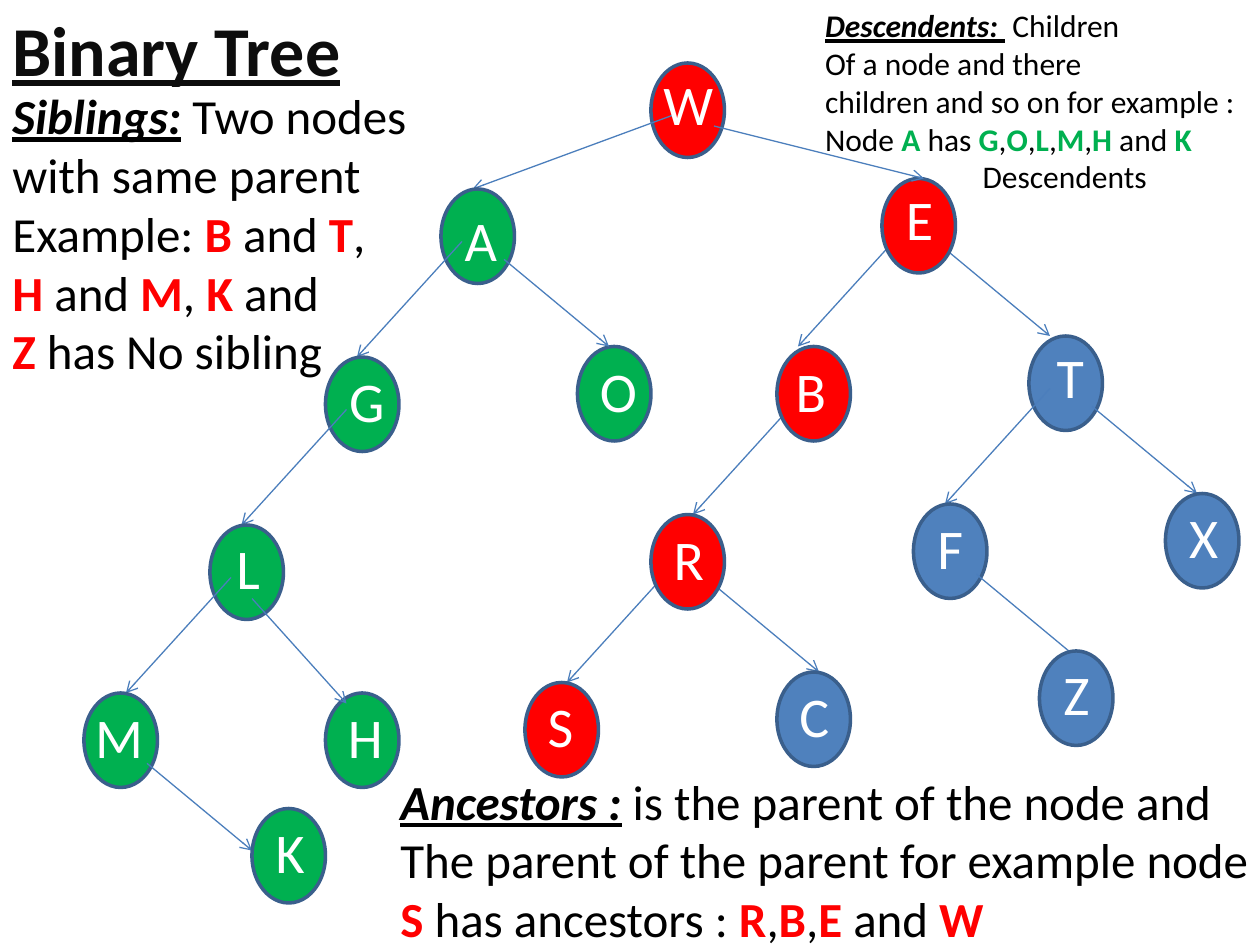
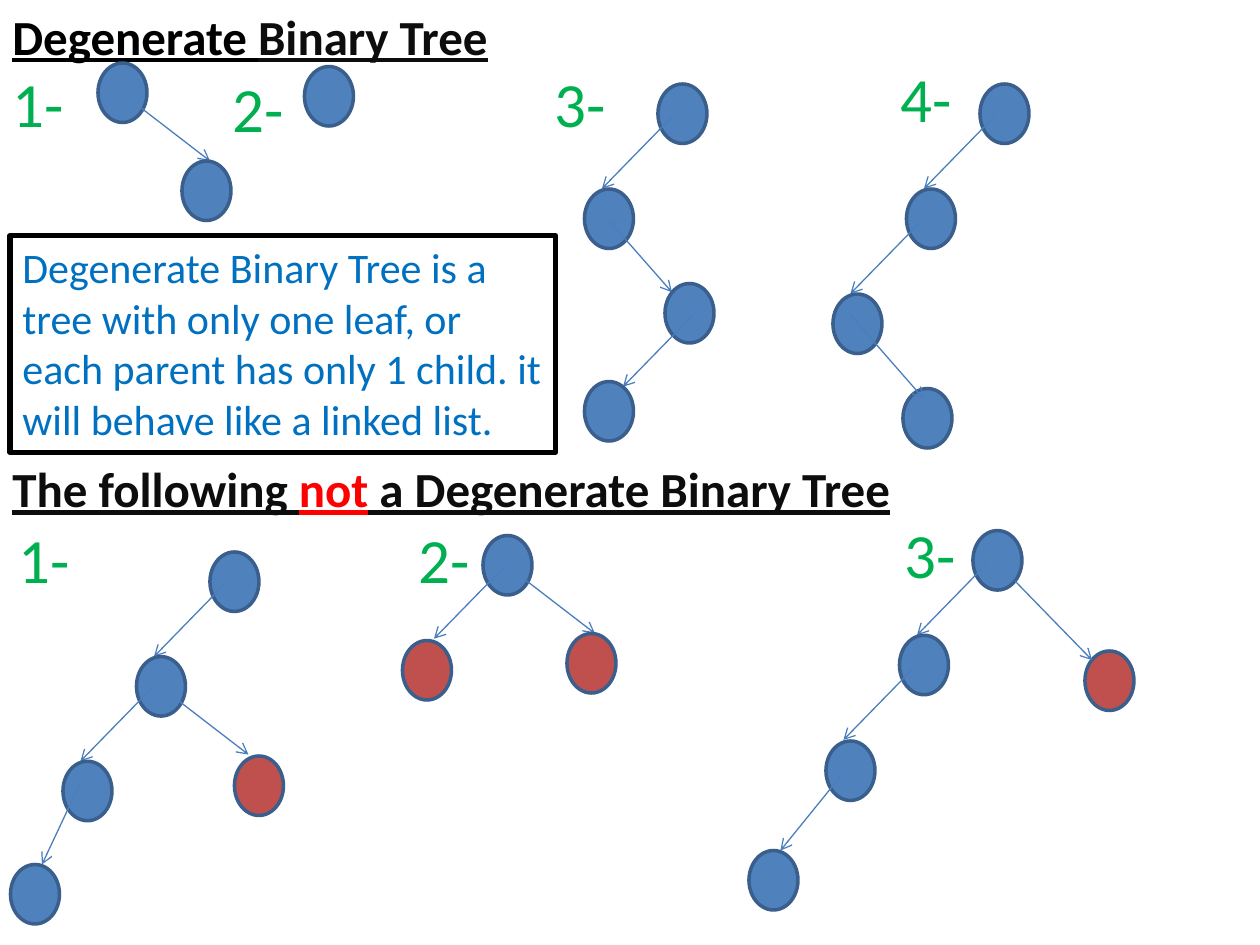
"""Build two slides about binary trees and degenerate binary trees."""
from lxml import etree
from pptx import Presentation
from pptx import util as u
from pptx.dml.color import RGBColor
from pptx.enum import shapes, text
from pptx.oxml import ns

WIDE, HIGH = u.Inches(10), u.Inches(7.5)
FONT = "Calibri"
BLACK = RGBColor(0, 0, 0)
INK = RGBColor(0x0D, 0x0D, 0x0D)
WHITE = RGBColor(255, 255, 255)
RED = RGBColor(255, 0, 0)
GREEN = RGBColor(0, 0xB0, 0x50)
BLUE = RGBColor(0x4F, 0x81, 0xBD)
BRICK = RGBColor(0xC0, 0x50, 0x4D)
RIM = RGBColor(0x3A, 0x5F, 0x8C)
EDGE = RGBColor(0x4B, 0x7E, 0xBC)
SKY = RGBColor(0, 0x70, 0xC0)

BIG = dict(cols=120, size=(7, 9),
           L=((2, 5), (-10, 11)), R=((6, 6.7), (10, 8.3)))
SMALL = dict(cols=360, size=(14, 17),
             L=((4, 9.4), (-20, 20.5)), R=((12, 12.6), (20, 15.4)))

NAMED = [
    ("O", 55, 33, GREEN, [], .08, .03, .5),
    ("E", 84, 17, RED, ["L", "R"], .09, 0, .42),
    ("B", 74, 33, RED, ["L"], .05, .03, .45),
    ("R", 62, 49, RED, ["L", "R"], .08, .03, .45),
    ("W", 62, 6, RED, [(64, 11, 45, 18), (68, 12, 88, 17)], 0, 0, .6),
    ("A", 42, 18, GREEN, ["L", "R"], .09, .08, .46),
    ("G", 31, 34, GREEN, ["L"], .09, .03, .49),
    ("T", 98, 32, BLUE, ["L", "R"], .12, 0, .42),
    ("F", 87, 48, BLUE, ["R"], .09, .03, .41),
    ("X", 111, 47, BLUE, [], .09, .02, .44),
    ("H", 31, 66, GREEN, [], .08, .03, .48),
    ("L", 20, 50, GREEN, ["L", (24, 57, 33, 67)], .11, .02, .39),
    ("C", 74, 64, BLUE, [], .08, .03, .44),
    ("S", 50, 65, RED, [], .08, .02, .41),
    ("Z", 99, 62, BLUE, [], .09, .02, .41),
    ("M", 8, 66, GREEN, ["R"], -.01, .03, .59),
    ("K", 24, 77, GREEN, [], .09, .02, .44),
]
UNDER = "EBR"

PLAIN = [
    (28, 18, BLUE, ["R"]), (52, 46, BLUE, []),
    (87, 19, BLUE, []),
    (188, 24, BLUE, ["L"]), (167, 54, BLUE, [(174, 63, 192, 83.5)]),
    (190, 81, BLUE, [(198, 90, 178, 110.5)]), (167, 109, BLUE, []),
    (280, 24, BLUE, ["L"]), (259, 54, BLUE, ["L"]),
    (258, 111, BLUE, []), (238, 84, BLUE, [(243, 90, 264, 114)]),
    (60, 157.7, BLUE, ["L"]), (39, 187.6, BLUE, ["L", "R"]),
    (18, 217.5, BLUE, [(23, 223.6, 12, 247)]),
    (67, 216, BRICK, []), (3, 247, BLUE, []),
    (138, 153, BLUE, ["R", (144, 162, 124, 182.5)]),
    (162, 181, BRICK, []), (115, 183, BRICK, []),
    (310, 186, BRICK, []), (278, 151.6, BLUE, ["L", (290, 166, 312, 188.6)]),
    (257, 181.5, BLUE, ["L"]), (236, 211.7, BLUE, [(240, 222, 223, 243)]),
    (214, 243, BLUE, []),
]

LABELS = [("1-", 0, .46), ("2-", 1.75, .5), ("3-", 4.3, .46),
          ("4-", 7.05, .42), ("1-", .05, 4.08), ("2-", 3.22, 4.08),
          ("3-", 7.08, 4.04)]


def grid(cols, *cells):
    """Turn counts of square cells into slide lengths."""
    return [u.Emu(round(cell * WIDE / cols)) for cell in cells]


def write(slide, words, box, size=28, color=BLACK, accent=RED, bold=False,
          line=False, lead="", wrap=False, border=None, inset=0):
    """Write text, one paragraph a line, with *accented* parts."""
    shape = slide.shapes.add_textbox(*grid(10, *box))
    frame = shape.text_frame
    frame.word_wrap = wrap
    frame.auto_size = text.MSO_AUTO_SIZE.SHAPE_TO_FIT_TEXT
    if border:
        shape.line.color.rgb = border
        shape.line.width = u.Pt(3)
    for row, part in enumerate(words.split("\n")):
        para = frame.paragraphs[0] if row == 0 else frame.add_paragraph()
        runs = [(bit, i % 2, False) for i, bit in enumerate(part.split("*"))]
        if row == 0:
            runs.insert(0, (lead, False, True))
        for bit, marked, head in runs:
            if not bit:
                continue
            run = para.add_run()
            run.text = bit
            font = run.font
            font.name, font.size = FONT, u.Pt(size)
            font.bold = bool(bold or marked or head)
            font.italic = head
            font.underline = line or head
            font.color.rgb = accent if marked else color
    if inset:
        para._p.get_or_add_pPr().set("marL", str(u.Inches(inset)))


def title(slide, words, top, width, **style):
    """Write a bold underlined heading at the left edge."""
    write(slide, words, (0, top, width, .57), color=INK, bold=True,
          line=True, wrap=True, **style)


def arrow(slide, kind, ends):
    """Draw a thin arrow between two grid points."""
    link = slide.shapes.add_connector(
        shapes.MSO_CONNECTOR.STRAIGHT, *grid(kind["cols"], *ends))
    link.line.color.rgb = EDGE
    link.line.width = u.Pt(.75)
    etree.SubElement(link.line._get_or_add_ln(), ns.qn("a:tailEnd"),
                     type="arrow")
    etree.SubElement(link._element.spPr, ns.qn("a:effectLst"))


def oval(slide, kind, col, row, fill):
    """Draw the outlined oval of a node."""
    shape = slide.shapes.add_shape(
        shapes.MSO_SHAPE.OVAL, *grid(kind["cols"], col, row, *kind["size"]))
    shape.shadow.inherit = False
    shape.fill.solid()
    shape.fill.fore_color.rgb = fill
    shape.line.color.rgb = RIM
    shape.line.width = u.Pt(2)


def node(slide, kind, col, row, fill, edges, under=False):
    """Draw a node and the edges to its children."""
    if not under:
        oval(slide, kind, col, row, fill)
    for edge in edges:
        if edge in ("L", "R"):
            (dx, dy), (across, down) = kind[edge]
            x, y = col + dx, row + dy
            edge = (x, y, x + across, y + down)
        arrow(slide, kind, edge)
    if under:
        oval(slide, kind, col, row, fill)


def terms(slide):
    """Build the slide on siblings, ancestors and descendants."""
    for name, col, row, fill, edges, *_ in NAMED:
        node(slide, BIG, col, row, fill, edges, under=name in UNDER)
    for name, col, row, _, _, dx, dy, width in NAMED:
        write(slide, name, (col / 12 + dx, row / 12 + dy, width, .64),
              size=32, color=WHITE)
    title(slide, "Binary Tree", 0, 3.33, size=40)
    write(slide, " Two nodes\nwith same parent\nExample: *B* and *T*, \n"
          "*H* and *M*, *K* and\n*Z* has No sibling",
          (0, .63, 3.35, 2.46), lead="Siblings:")
    write(slide, " is the parent of the node and \n"
          "The parent of the parent for example node\n"
          "*S* has ancestors : *R*,*B*,*E *and *W*",
          (3.08, 6.07, 7, 1.51), lead="Ancestors :")
    write(slide, " Children \nOf a node and there\n"
          "children and so on for example :\n"
          "Node *A *has *G*,*O*,*L*,*M*,*H *and *K*\nDescendents",
          (6.45, 0, 3.5, 1.6), size=18, accent=GREEN,
          lead="Descendents: ", inset=1.25)


def chains(slide):
    """Build the slide on degenerate trees."""
    title(slide, "*Degenerate *Binary Tree", 0, 4.17, accent=BLACK)
    for spot in PLAIN:
        node(slide, SMALL, *spot)
    title(slide, "The following *not* a Degenerate Binary Tree", 3.59, 8)
    for label, left, top in LABELS:
        write(slide, label, (left, top, .61, .71), size=36, color=GREEN)
    write(slide, "Degenerate Binary Tree is a tree with only one leaf, or "
          "each parent has only 1 child. it will behave like a linked list.",
          (.08, 1.87, 4.33, 1.72), size=24, color=SKY, wrap=True,
          border=BLACK)


def main():
    """Build and save the deck."""
    deck = Presentation()
    deck.slide_width, deck.slide_height = WIDE, HIGH
    for build in (terms, chains):
        build(deck.slides.add_slide(deck.slide_layouts[6]))
    deck.save("out.pptx")


main()
